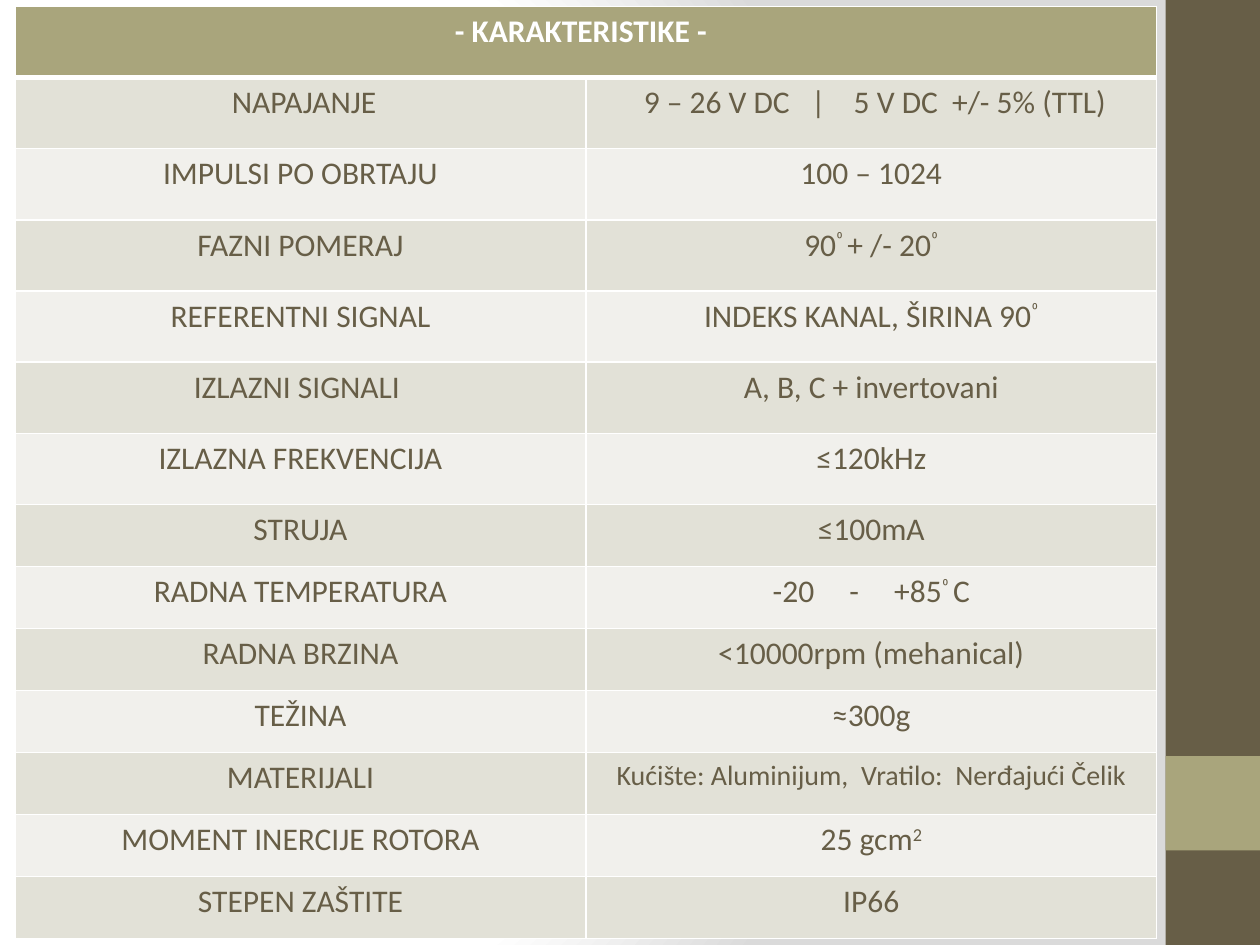
"""Build a slide with a two-column table of encoder characteristics."""
from dataclasses import dataclass, field

import lxml.etree
import pptx
import pptx.dml.color
import pptx.enum.shapes
import pptx.enum.text
import pptx.oxml
import pptx.oxml.ns
import pptx.util

RGB = pptx.dml.color.RGBColor
WHITE = RGB(0xFF, 0xFF, 0xFF)
BROWN = RGB(0x67, 0x5E, 0x47)
OLIVE = RGB(0xA9, 0xA5, 0x7C)
DARK = RGB(0xE2, 0xE1, 0xD7)
LIGHT = RGB(0xF1, 0xF0, 0xEC)

SCALE = 2286
WIDE, HIGH = 4000, 3000
TALL, LOW = 226, 197
TALLS = 7
COL = 1812
SPACE = 400
NS = pptx.oxml.ns.nsdecls("a")

BACK = f"""<a:gradFill {NS} rotWithShape="1"><a:gsLst>
<a:gs pos="0"><a:srgbClr val="{WHITE}"/></a:gs>
<a:gs pos="75000"><a:srgbClr val="{WHITE}"/></a:gs>
<a:gs pos="100000"><a:srgbClr val="DADADA"/></a:gs></a:gsLst>
<a:path path="circle"><a:fillToRect l="20000" t="50000" r="100000" b="50000"/></a:path>
</a:gradFill>"""


@dataclass
class Bar:
    top: int
    high: int
    fill: RGB


@dataclass
class Run:
    text: str
    attrs: dict = field(default_factory=dict)
    size: int = 18


def px(num: int) -> int:
    return pptx.util.Emu(num * SCALE)


def gap(count: int, size: int = 18) -> Run:
    return Run(" ", {"spc": str((count - 1) * SPACE * size // 18)}, size)


def sup(text: str) -> Run:
    return Run(text, {"baseline": "30000"})


BARS = [Bar(0, HIGH, BROWN), Bar(2400, 300, OLIVE)]

ROWS = [
    (" NAPAJANJE", [Run(" 9 – 26 V DC"), gap(3), Run("|"), gap(4), Run("5 V DC"),
                    gap(2), Run("+/- 5% (TTL)")]),
    ("IMPULSI PO OBRTAJU", [Run("100 – 1024")]),
    ("FAZNI POMERAJ", [Run("90"), sup("⁰ "), Run("+ /- 20"), sup("⁰")]),
    ("REFERENTNI SIGNAL", [Run("INDEKS KANAL, ŠIRINA 90"), sup("⁰")]),
    ("IZLAZNI SIGNALI ", [Run("A, B, C + invertovani")]),
    ("IZLAZNA FREKVENCIJA", [Run("≤120kHz")]),
    ("STRUJA", [Run("≤100mA")]),
    ("RADNA TEMPERATURA", [Run("-20"), gap(5), Run("-"), gap(5), Run("+85"),
                           sup("⁰ "), Run("C")]),
    ("RADNA BRZINA", [Run("<10000rpm (mehanical)")]),
    ("TEŽINA", [Run("≈300g")]),
    ("MATERIJALI", [Run("Kućište: Aluminijum,", size=16), gap(2, 16),
                    Run("Vratilo:", size=16), gap(2, 16),
                    Run("Nerđajući Čelik", size=16)]),
    ("MOMENT INERCIJE ROTORA", [Run("25 gcm"), sup("2")]),
    ("STEPEN ZAŠTITE", [Run("IP66")]),
]


def paint(slide) -> None:
    slide.background.fill.solid()
    prop = slide.background.fill._xPr
    old = prop.find(pptx.oxml.ns.qn("a:solidFill"))
    prop.replace(old, pptx.oxml.parse_xml(BACK))


def draw_bar(slide, bar: Bar) -> None:
    kind = pptx.enum.shapes.MSO_SHAPE.RECTANGLE
    shape = slide.shapes.add_shape(kind, px(3700), px(bar.top), px(300), px(bar.high))
    shape.shadow.inherit = False
    shape.fill.solid()
    shape.fill.fore_color.rgb = bar.fill
    shape.line.fill.background()


def edge(cell, foot: int) -> None:
    prop = cell._tc.get_or_add_tcPr()
    for pos, (side, points) in enumerate(zip("LRTB", (1, 1, 1, foot))):
        prop.insert(pos, pptx.oxml.parse_xml(
            f'<a:ln{side} {NS} w="{pptx.util.Pt(points)}"><a:solidFill>'
            f'<a:srgbClr val="{WHITE}"/></a:solidFill></a:ln{side}>'))


def fill_cell(cell, runs: list[Run], back: RGB, ink: RGB = BROWN,
              bold: bool = False, foot: int = 1) -> None:
    cell.fill.solid()
    cell.fill.fore_color.rgb = back
    edge(cell, foot)
    para = cell.text_frame.paragraphs[0]
    para.alignment = pptx.enum.text.PP_ALIGN.CENTER
    for item in runs:
        run = para.add_run()
        run.text = item.text
        form = {"name": "Calibri", "size": pptx.util.Pt(item.size), "bold": bold}
        for name, value in form.items():
            setattr(run.font, name, value)
        run.font.color.rgb = ink
        for name, value in item.attrs.items():
            run.font._element.set(name, value)


def draw_table(slide) -> None:
    count = len(ROWS) + 1
    highs = [TALL if row < TALLS else LOW for row in range(count)]
    frame = slide.shapes.add_table(count, 2, px(48), px(20), px(2 * COL), px(sum(highs)))
    table = frame.table
    for name in ("first_row", "horz_banding"):
        setattr(table, name, False)
    for col in table.columns:
        col.width = px(COL)
    for row, high in zip(table.rows, highs):
        row.height = px(high)
    head = table.cell(0, 0)
    head.merge(table.cell(0, 1))
    fill_cell(head, [Run("- KARAKTERISTIKE -")], OLIVE, WHITE, True, 3)
    para = head.text_frame.paragraphs[0]
    para.alignment = pptx.enum.text.PP_ALIGN.LEFT
    head.margin_left = px(1396)
    for row, (label, runs) in enumerate(ROWS, 1):
        back = DARK if row % 2 else LIGHT
        fill_cell(table.cell(row, 0), [Run(label)], back)
        fill_cell(table.cell(row, 1), runs, back)


def main() -> None:
    deck = pptx.Presentation()
    deck.slide_width, deck.slide_height = px(WIDE), px(HIGH)
    slide = deck.slides.add_slide(deck.slide_layouts[6])
    paint(slide)
    for bar in BARS:
        draw_bar(slide, bar)
    draw_table(slide)
    deck.save("out.pptx")


if __name__ == "__main__":
    main()
